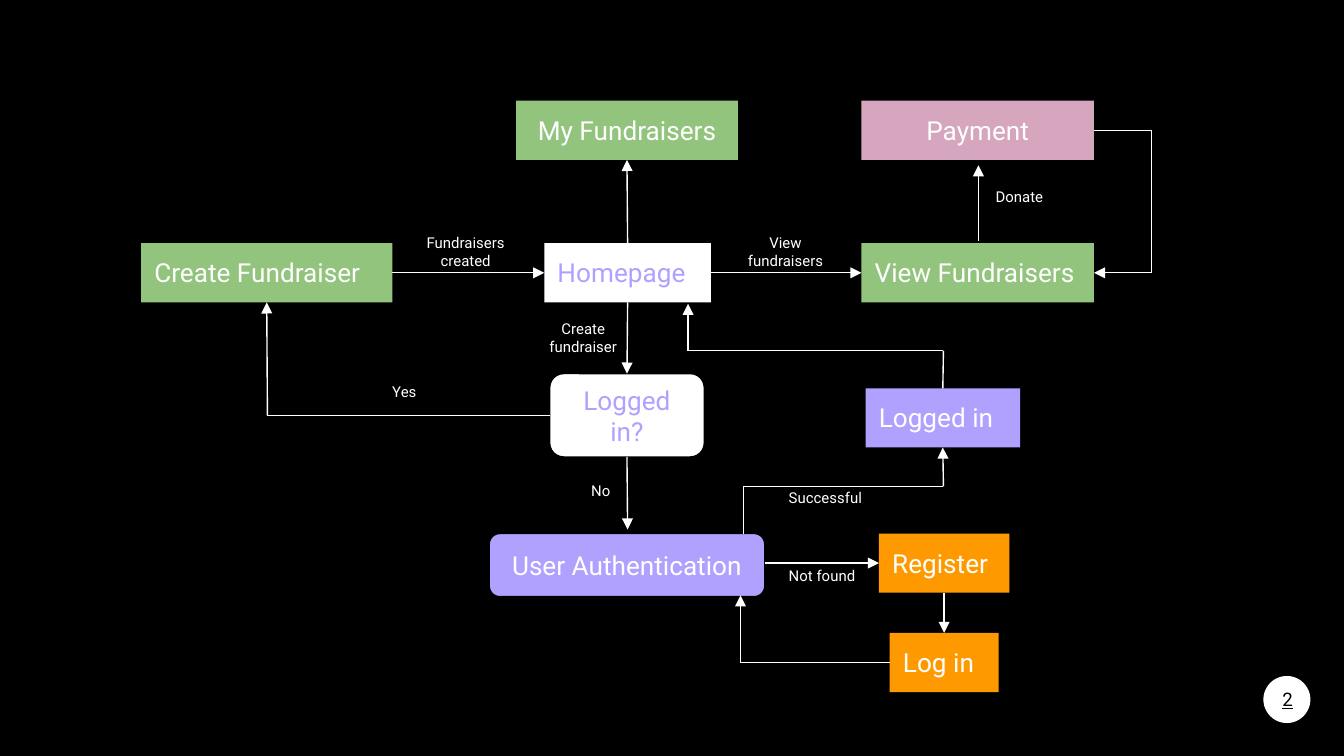
"""Build the fundraiser site flowchart slide."""
from dataclasses import dataclass
from itertools import pairwise
from typing import Optional, Union

from pptx import Presentation
from pptx import shapes as drawn
from pptx import slide as slides
from pptx.dml.color import RGBColor
from pptx.enum import shapes, text
from pptx.oxml.ns import qn
from pptx.util import Inches, Pt
from lxml import etree


@dataclass(frozen=True)
class Theme:
    """Colours, font and sizes used on the slide."""
    black: str = "000000"
    white: str = "FFFFFF"
    lilac: str = "B1A1FF"
    green: str = "93C47D"
    orange: str = "FF9900"
    pink: str = "D5A6BD"
    font: str = "Roboto"
    node_size: int = 14
    label_size: int = 8
    page_size: int = 10
    line_width: float = 0.75


THEME = Theme()
LEFT, CENTER = text.PP_ALIGN.LEFT, text.PP_ALIGN.CENTER
TOP, WEST, BOTTOM, EAST = range(4)


@dataclass(frozen=True)
class Node:
    """A step of the flow."""
    caption: str
    left: float
    top: float
    width: float
    fill: str
    height: float = 0.44
    color: str = THEME.white
    align: text.PP_ALIGN = LEFT
    rounded: bool = False


@dataclass(frozen=True)
class Label:
    """A caption beside a route."""
    caption: str
    left: float
    top: float
    width: float
    height: float = 0.34
    align: text.PP_ALIGN = LEFT


@dataclass(frozen=True)
class Joint:
    """A connection site in the middle of a node's side."""
    node: str
    site: int


Stop = Union[Joint, tuple[float, float]]

NODES = [
    Node("Homepage", 4.05, 1.81, 1.24, THEME.white, color=THEME.lilac),
    Node("My Fundraisers", 3.84, 0.75, 1.65, THEME.green, align=CENTER),
    Node("Create Fundraiser", 1.05, 1.81, 1.87, THEME.green),
    Node("View Fundraisers", 6.41, 1.81, 1.73, THEME.green),
    Node("Payment", 6.41, 0.75, 1.73, THEME.pink, align=CENTER),
    Node("Logged in?", 4.09, 2.78, 1.15, THEME.white, 0.62, THEME.lilac, CENTER, True),
    Node("User Authentication", 3.64, 3.97, 2.05, THEME.lilac, 0.47, align=CENTER, rounded=True),
    Node("Logged in", 6.44, 2.89, 1.15, THEME.lilac),
    Node("Register", 6.54, 3.97, 0.97, THEME.orange),
    Node("Log in", 6.62, 4.71, 0.81, THEME.orange),
]

LABELS = [
    Label("Fundraisers\ncreated", 3.06, 1.64, 0.81, 0.47, CENTER),
    Label("View fundraisers", 5.44, 1.64, 0.81, 0.47, CENTER),
    Label("Create fundraiser", 3.97, 2.28, 0.74, 0.47, CENTER),
    Label("Donate", 7.18, 1.33, 0.81, align=CENTER),
    Label("Yes", 2.82, 2.78, 0.41),
    Label("No", 4.3, 3.52, 0.74),
    Label("Successful", 5.77, 3.57, 0.81),
    Label("Not found", 5.77, 4.15, 0.81),
]

ROUTES: list[list[Stop]] = [
    [Joint("Homepage", TOP), Joint("My Fundraisers", BOTTOM)],
    [Joint("Create Fundraiser", EAST), Joint("Homepage", WEST)],
    [Joint("Homepage", EAST), Joint("View Fundraisers", WEST)],
    [Joint("Homepage", BOTTOM), Joint("Logged in?", TOP)],
    [(7.28, 1.79), (7.28, 1.23)],
    [Joint("Payment", EAST), (8.57, 0.97), (8.57, 2.03), Joint("View Fundraisers", EAST)],
    [Joint("Logged in?", WEST), (1.99, 3.09), Joint("Create Fundraiser", BOTTOM)],
    [Joint("Logged in?", BOTTOM), (4.67, 3.94)],
    [(5.53, 3.97), (5.53, 3.62), (7.02, 3.62), Joint("Logged in", BOTTOM)],
    [Joint("Logged in", TOP), (7.02, 2.61), (5.12, 2.61), (5.12, 2.26)],
    [(5.69, 4.19), Joint("Register", WEST)],
    [Joint("Register", BOTTOM), Joint("Log in", TOP)],
    [Joint("Log in", WEST), (5.51, 4.93), (5.51, 4.43)],
]


def rgb(color: str) -> RGBColor:
    """Turn a hex colour into an RGBColor."""
    return RGBColor.from_string(color)


def write(shape: drawn.autoshape.Shape, caption: str, size: int, color: str,
          align: text.PP_ALIGN, middle: bool = False, underline: Optional[bool] = None) -> None:
    """Write a caption into a shape, one paragraph per line."""
    frame = shape.text_frame
    frame.word_wrap = True
    frame.margin_left = frame.margin_right = Inches(0.1)
    frame.margin_top = frame.margin_bottom = Inches(0.1)
    frame.vertical_anchor = text.MSO_ANCHOR.MIDDLE if middle else text.MSO_ANCHOR.TOP
    frame.auto_size = text.MSO_AUTO_SIZE.NONE if middle else text.MSO_AUTO_SIZE.SHAPE_TO_FIT_TEXT
    for index, line in enumerate(caption.split("\n")):
        paragraph = frame.add_paragraph() if index else frame.paragraphs[0]
        paragraph.alignment = align
        run = paragraph.add_run()
        run.text = line
        run.font.name = THEME.font
        run.font.size = Pt(size)
        run.font.color.rgb = rgb(color)
        run.font.underline = underline


def add_filled(slide: slides.Slide, kind: shapes.MSO_SHAPE, left: float, top: float,
               width: float, height: float, fill: str) -> drawn.autoshape.Shape:
    """Add a flat filled shape without outline."""
    shape = slide.shapes.add_shape(kind, Inches(left), Inches(top), Inches(width), Inches(height))
    shape.shadow.inherit = False
    shape.fill.solid()
    shape.fill.fore_color.rgb = rgb(fill)
    shape.line.fill.background()
    return shape


def add_node(slide: slides.Slide, node: Node) -> drawn.autoshape.Shape:
    """Draw one step of the flow."""
    kind = shapes.MSO_SHAPE.ROUNDED_RECTANGLE if node.rounded else shapes.MSO_SHAPE.RECTANGLE
    shape = add_filled(slide, kind, node.left, node.top, node.width, node.height, node.fill)
    if node.rounded:
        shape.line.color.rgb = rgb(THEME.black)
        shape.line.width = Pt(THEME.line_width)
    write(shape, node.caption, THEME.node_size, node.color, node.align, node.rounded)
    return shape


def add_box(slide: slides.Slide, label: Label) -> drawn.autoshape.Shape:
    """Add an empty text box where a label goes."""
    return slide.shapes.add_textbox(Inches(label.left), Inches(label.top),
                                    Inches(label.width), Inches(label.height))


def add_route(slide: slides.Slide, stops: list[Stop],
              boxes: dict[str, drawn.autoshape.Shape]) -> None:
    """Draw straight segments through the stops, with an arrowhead on the last."""
    for start, end in pairwise(stops):
        points = [(0, 0) if isinstance(stop, Joint) else stop for stop in (start, end)]
        connector = slide.shapes.add_connector(
            shapes.MSO_CONNECTOR.STRAIGHT, *(Inches(value) for point in points for value in point))
        if isinstance(start, Joint):
            connector.begin_connect(boxes[start.node], start.site)
        if isinstance(end, Joint):
            connector.end_connect(boxes[end.node], end.site)
        connector.line.color.rgb = rgb(THEME.white)
        connector.line.width = Pt(THEME.line_width)
        properties = connector._element.spPr
        if end is stops[-1]:
            etree.SubElement(properties.find(qn("a:ln")), qn("a:tailEnd"), type="triangle")
        etree.SubElement(properties, qn("a:effectLst"))


def main() -> None:
    """Build and save the slide."""
    presentation = Presentation()
    presentation.slide_width = Inches(10)
    presentation.slide_height = Inches(10) * 9 // 16
    slide = presentation.slides.add_slide(presentation.slide_layouts[6])
    slide.background.fill.solid()
    slide.background.fill.fore_color.rgb = rgb(THEME.black)
    boxes = {node.caption: add_node(slide, node) for node in NODES}
    for stops in ROUTES:
        add_route(slide, stops, boxes)
    for label in LABELS:
        write(add_box(slide, label), label.caption, THEME.label_size, THEME.white, label.align)
    add_filled(slide, shapes.MSO_SHAPE.OVAL, 9.4, 5.03, 0.35, 0.35, THEME.white)
    page = Label("2", 9.28, 4.99, 0.6, 0.43, CENTER)
    write(add_box(slide, page), page.caption, THEME.page_size, THEME.black, page.align, True, True)
    presentation.save("out.pptx")


if __name__ == "__main__":
    main()
